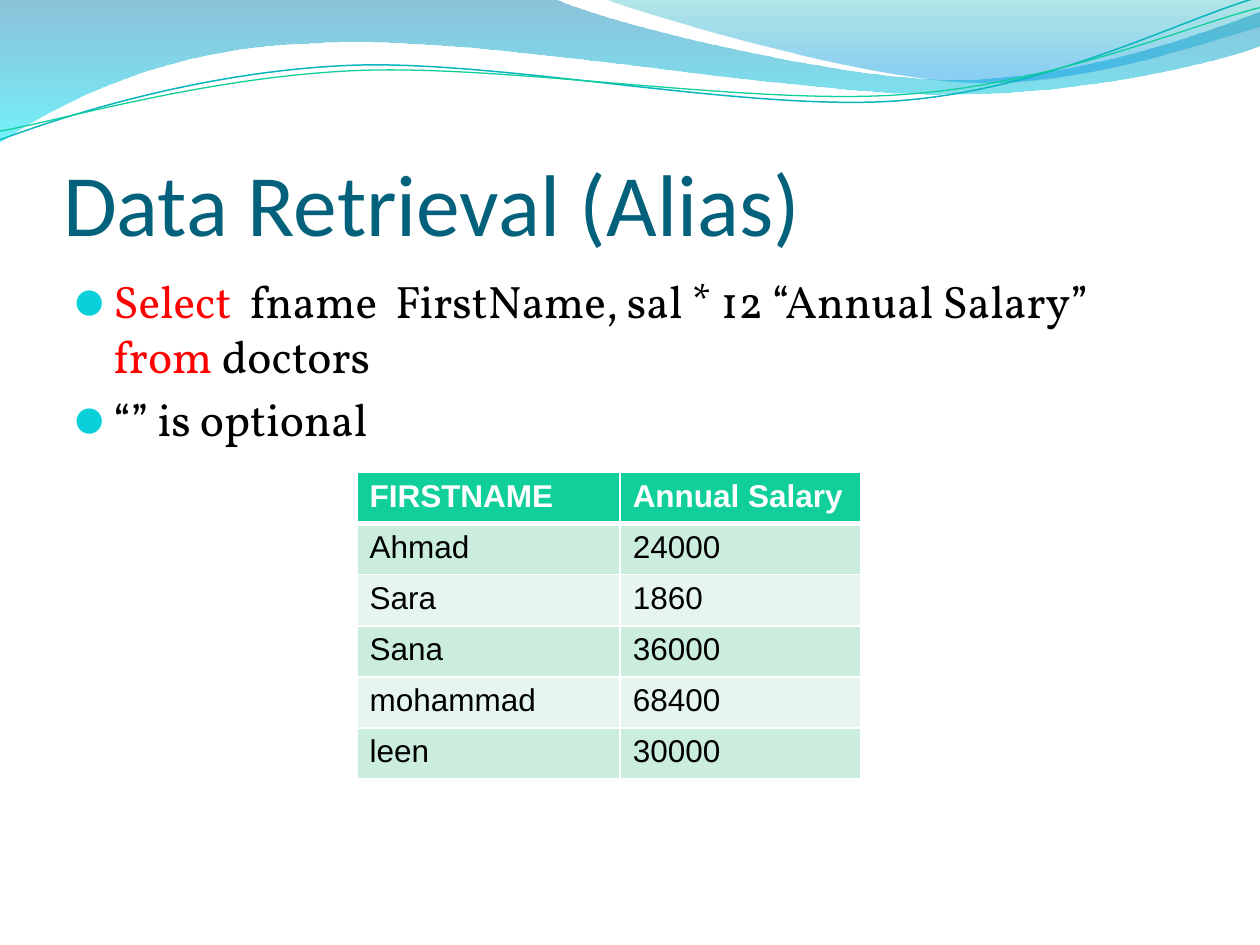
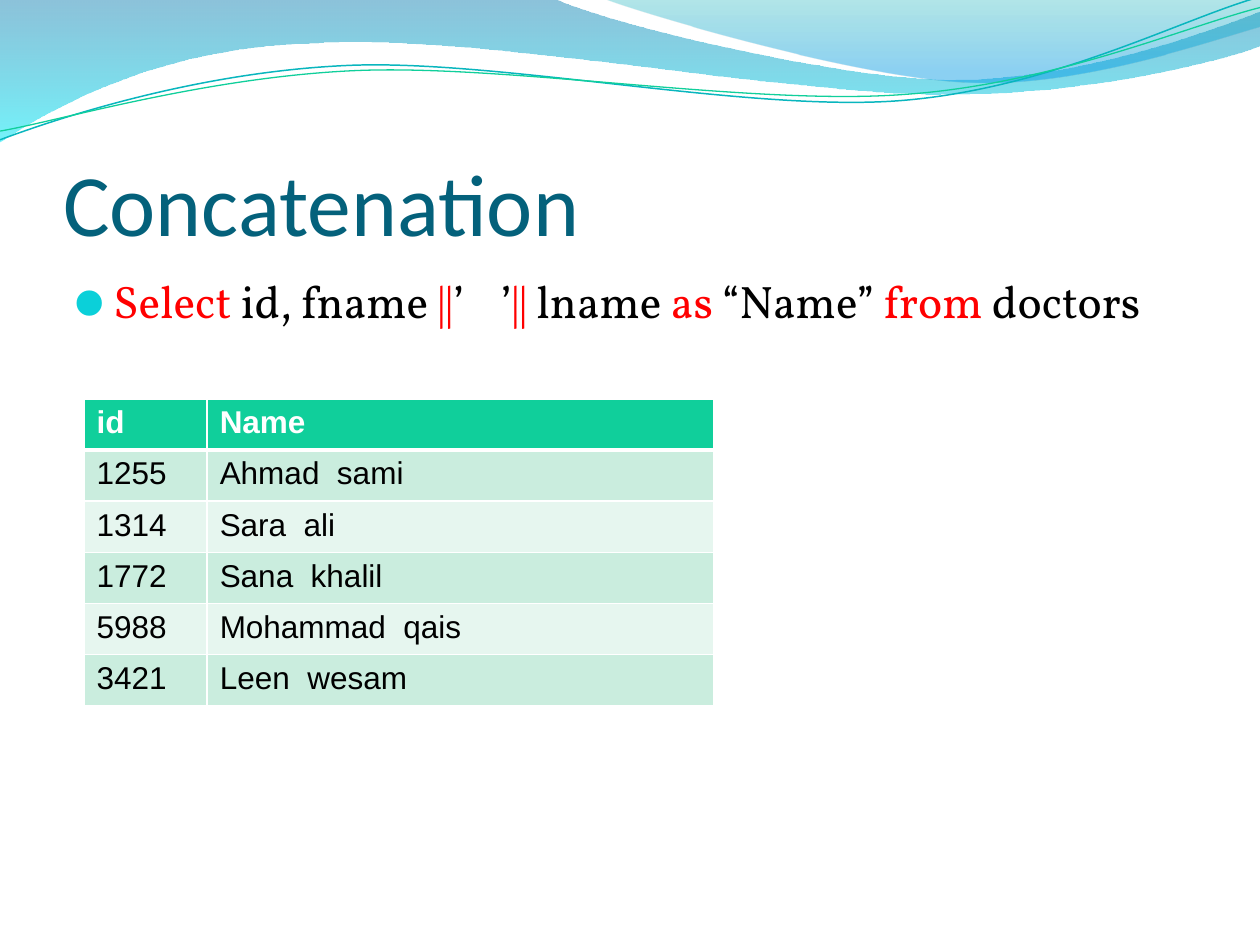
"""Builds two slides on SQL column aliases and concatenation under a shared wave header."""
import pptx
import pptx.dml.color
import pptx.enum.text
import pptx.oxml
import pptx.oxml.ns
import pptx.util

Pt = pptx.util.Pt
RGBColor = pptx.dml.color.RGBColor

TITLE_BLUE = RGBColor(0x04, 0x61, 0x7B)
BULLET_CYAN = RGBColor(0x0B, 0xD0, 0xD9)
WAVE_TEAL = RGBColor(0x09, 0xB6, 0xBE)
GREEN = RGBColor(0x10, 0xCF, 0x9B)
ROW_DARK = RGBColor(0xCA, 0xED, 0xDE)
ROW_LIGHT = RGBColor(0xE6, 0xF6, 0xEF)
KEYWORD_RED = RGBColor(0xFF, 0x00, 0x00)
BLACK = RGBColor(0x00, 0x00, 0x00)
WHITE = RGBColor(0xFF, 0xFF, 0xFF)
DEEP_BLUE = RGBColor(0x00, 0x79, 0xAD)
AQUA = RGBColor(0x00, 0xE9, 0xF7)
SEA = RGBColor(0x00, 0xAB, 0xB4)
SKY = RGBColor(0x00, 0x99, 0xE4)

NS = pptx.oxml.ns.nsdecls("a")
ROW_HEIGHT = 29.2

WAVES = [
    {"start": (0, 0),
     "segments": [[(316.8, -0.7)],
                  [(342.7, 12.2), (478.1, 45.4), (545.8, 45.4)],
                  [(614.2, 45.4), (689.8, 18.7), (720, 6.5)],
                  [(720.7, 25.9)],
                  [(707.8, 31.7), (626.4, 54.7), (537.1, 54)],
                  [(447.8, 54), (275, 20.2), (185, 24.5)],
                  [(92.9, 25.9), (33.1, 59.8), (-0.7, 81.4)],
                  [(0, 0)]],
     "stops": [(0, DEEP_BLUE, 45), (100, AQUA, 55)]},
    {"start": (344.9, -0.7),
     "segments": [[(366.5, 7.9), (491, 44.6), (553.7, 46.8)],
                  [(616.3, 49.7), (691.9, 23), (720, 15.1)],
                  [(720, 0)],
                  [(344.9, -0.7)]],
     "stops": [(0, SEA, 30), (80, SKY, 45), (100, SKY, 45)]},
    {"start": (0, 79.9),
     "segments": [[(34.6, 67), (113.8, 41), (199.4, 37.4)],
                  [(284.4, 33.8), (427, 64.1), (513.4, 57.6)],
                  [(599.8, 51.1), (675.4, 10.8), (718.6, -1.4)]],
     "line": (WAVE_TEAL, 0.85)},
    {"start": (0, 74.9),
     "segments": [[(33.8, 69.1), (118.1, 43.9), (203.8, 40.3)],
                  [(290.2, 36.7), (429.8, 60.5), (516.2, 54)],
                  [(601.9, 48.2), (677.5, 15.1), (720, 4.3)]],
     "line": (GREEN, 0.75)},
]

SLIDES = [
    {"title": "Data Retrieval (Alias)",
     "bullets": [[("Select", KEYWORD_RED),
                  ("  fname  FirstName, sal * 12 “Annual Salary”  ", BLACK),
                  ("from", KEYWORD_RED), (" doctors", BLACK)],
                 [("“” is optional", BLACK)]],
     "corner": (204, 270),
     "widths": (150.4, 137.4),
     "rows": [("FIRSTNAME", "Annual Salary"), ("Ahmad", "24000"), ("Sara", "1860"),
              ("Sana", "36000"), ("mohammad", "68400"), ("leen", "30000")]},
    {"title": "Concatenation",
     "bullets": [[("Select", KEYWORD_RED), (" id, fname ", BLACK), ("||", KEYWORD_RED),
                  ("’    ’", BLACK), ("||", KEYWORD_RED), (" lname ", BLACK),
                  ("as", KEYWORD_RED), (" “Name” ", BLACK),
                  ("from", KEYWORD_RED), (" doctors", BLACK)]],
     "corner": (48, 228),
     "widths": (70.4, 289.4),
     "rows": [("id", "Name"), ("1255", "Ahmad  sami"), ("1314", "Sara  ali"),
              ("1772", "Sana  khalil"), ("5988", "Mohammad  qais"),
              ("3421", "Leen  wesam")]},
]


def draw_wave(shapes, start, segments, closed):
    """Return a freeform whose three-point segments are cubic curves."""
    builder = shapes.build_freeform(Pt(start[0]), Pt(start[1]))
    builder.add_line_segments([(Pt(x), Pt(y)) for segment in segments for x, y in segment],
                              close=closed)
    outline = builder.convert_to_shape()
    steps = iter(outline.element.xpath(".//a:lnTo"))
    for segment in segments:
        first = next(steps)
        if len(segment) == 3:
            curve = pptx.oxml.parse_xml(f"<a:cubicBezTo {NS}/>")
            first.addprevious(curve)
            for step in (first, next(steps), next(steps)):
                curve.append(step[0])
                step.getparent().remove(step)
    return outline


deck = pptx.Presentation()
deck.slide_width, deck.slide_height = Pt(720), Pt(540)
layout = deck.slide_layouts[1]
for holder, (left, top, width, height) in zip(
        layout.placeholders, [(36, 55.4, 648, 90), (36, 152.6, 648, 345.6)]):
    holder.left, holder.top = Pt(left), Pt(top)
    holder.width, holder.height = Pt(width), Pt(height)

for number, content in enumerate(SLIDES):
    slide = deck.slides.add_slide(layout)

    if number == 0:
        for depth, wave in enumerate(WAVES):
            ribbon = draw_wave(slide.shapes, wave["start"], wave["segments"], "stops" in wave)
            ribbon.shadow.inherit = False
            if "stops" in wave:
                ribbon.line.fill.background()
                stops = "".join(
                    f'<a:gs pos="{place * 1000}"><a:srgbClr val="{colour}">'
                    f'<a:alpha val="{opacity * 1000}"/></a:srgbClr></a:gs>'
                    for place, colour, opacity in wave["stops"])
                ribbon.element.spPr.insert(2, pptx.oxml.parse_xml(
                    f'<a:gradFill {NS} rotWithShape="1"><a:gsLst>{stops}</a:gsLst>'
                    '<a:lin ang="5400000" scaled="0"/></a:gradFill>'))
            else:
                ribbon.fill.background()
                colour, weight = wave["line"]
                ribbon.line.color.rgb = colour
                ribbon.line.width = Pt(weight)
            layout.shapes.element.insert(2 + depth, ribbon.element)

    heading = slide.shapes.title.text_frame
    heading.text = content["title"]
    heading.auto_size = pptx.enum.text.MSO_AUTO_SIZE.NONE
    heading.vertical_anchor = pptx.enum.text.MSO_ANCHOR.BOTTOM
    heading.margin_left = heading.margin_right = heading.margin_bottom = 0
    heading.margin_top = Pt(3.6)
    heading_line = heading.paragraphs[0]
    heading_line.alignment = pptx.enum.text.PP_ALIGN.LEFT
    heading_line.font.name = "Calibri"
    heading_line.font.size = Pt(50)
    heading_line.font.color.rgb = TITLE_BLUE

    statements = slide.placeholders[1].text_frame
    statements.auto_size = pptx.enum.text.MSO_AUTO_SIZE.NONE
    for index, pieces in enumerate(content["bullets"]):
        statement = statements.add_paragraph() if index else statements.paragraphs[0]
        statement.space_before = Pt(5 if index else 0)
        properties = statement._p.get_or_add_pPr()
        properties.set("marL", str(Pt(21.6)))
        properties.set("indent", str(Pt(-21.6)))
        for bullet in (f'<a:buClr {NS}><a:srgbClr val="{BULLET_CYAN}"/></a:buClr>',
                       f'<a:buChar {NS} char="⚫"/>'):
            properties.append(pptx.oxml.parse_xml(bullet))
        statement.font.name = "Vollkorn"
        statement.font.size = Pt(26)
        for words, colour in pieces:
            piece = statement.add_run()
            piece.text = words
            piece.font.color.rgb = colour

    rows, widths = content["rows"], content["widths"]
    left, top = content["corner"]
    result = slide.shapes.add_table(len(rows), len(widths), Pt(left), Pt(top),
                                    Pt(sum(widths)), Pt(ROW_HEIGHT * len(rows))).table
    for column, width in zip(result.columns, widths):
        column.width = Pt(width)
    for r, values in enumerate(rows):
        result.rows[r].height = Pt(ROW_HEIGHT)
        for c, value in enumerate(values):
            cell = result.cell(r, c)
            cell.text = value
            borders = {"lnL": 1, "lnR": 1, "lnT": 3 if r == 1 else 1, "lnB": 3 if r == 0 else 1}
            for side, weight in borders.items():
                cell._tc.get_or_add_tcPr().append(pptx.oxml.parse_xml(
                    f'<a:{side} {NS} w="{Pt(weight)}"><a:solidFill>'
                    f'<a:srgbClr val="{WHITE}"/></a:solidFill></a:{side}>'))
            cell.fill.solid()
            cell.fill.fore_color.rgb = GREEN if r == 0 else ROW_DARK if r % 2 else ROW_LIGHT
            font = cell.text_frame.paragraphs[0].font
            font.name = "Arial"
            font.size = Pt(18)
            font.bold = r == 0
            font.color.rgb = BLACK if r else WHITE

deck.save("out.pptx")
